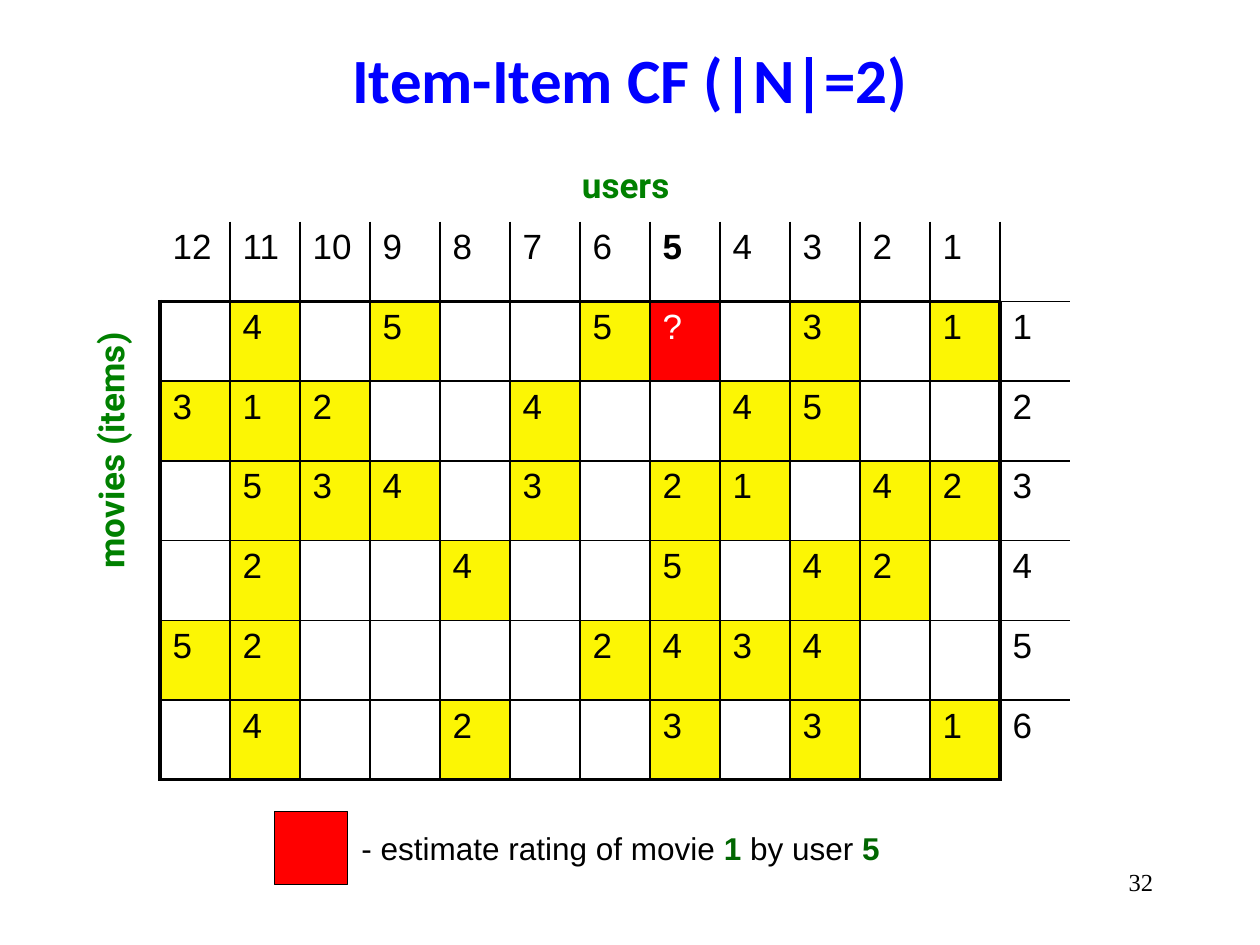
import pptx
import pptx.dml.color
import pptx.enum.shapes
import pptx.enum.text
import pptx.oxml
import pptx.oxml.ns
import pptx.util
from pptx.util import Inches

COLORS = {
    "black": "000000",
    "white": "FFFFFF",
    "title": "0000FF",
    "axis": "008000",
    "emphasis": "006600",
    "rated": "FCF604",
    "target": "FF0000",
}
ALIGN = pptx.enum.text.PP_ALIGN


def rgb(name):
    return pptx.dml.color.RGBColor.from_string(COLORS[name])


def add_run(paragraph, text, size, font, color="black", bold=False):
    run = paragraph.add_run()
    run.text = text
    run.font.size = pptx.util.Pt(size)
    run.font.name = font
    run.font.bold = bold
    run.font.color.rgb = rgb(color)


presentation = pptx.Presentation()
presentation.slide_width = Inches(10)
presentation.slide_height = Inches(7.5)
slide = presentation.slides.add_slide(presentation.slide_layouts[6])

# Ratings: one row per movie, users 12 down to 1
ratings = [
    ".4.5..5?.3.1",
    "312..4..45..",
    ".534.3.21.42",
    ".2..4..5.42.",
    "52....2434..",
    ".4..2..3.3.1",
]
user_count, movie_count = 12, len(ratings)
grid = [[str(user) for user in range(user_count, 0, -1)] + [""]]
for movie, row in enumerate(ratings, start=1):
    grid.append([mark.replace(".", "") for mark in row] + [str(movie)])

# Table with equal rows and columns
row_count, column_count = movie_count + 1, user_count + 1
column_width, row_height = 5 / 9, 0.633
table = slide.shapes.add_table(
    row_count, column_count, Inches(1.27), Inches(1.76),
    Inches(column_width * column_count), Inches(row_height * row_count),
).table
table.first_row = False
table.horz_banding = False
for column in table.columns:
    column.width = Inches(column_width)
for row in table.rows:
    row.height = Inches(row_height)

thin, thick = 1, 2.25
for r, texts in enumerate(grid):
    for c, text in enumerate(texts):
        cell = table.cell(r, c)
        in_ratings = r > 0 and c < user_count

        # Thick frame around the ratings, none on the outside of the labels
        widths = {"L": thin, "R": thin, "T": thin, "B": thin}
        if c == 0:
            widths["L"] = thick if r else 0
        if c == user_count:
            widths["L"] = thick if r else thin
            widths["R"] = 0
        if c == user_count - 1 and r:
            widths["R"] = thick
        if r == 0:
            widths["T"] = 0
        if r == 1 and c < user_count:
            widths["T"] = thick
        if r == 0 and c < user_count:
            widths["B"] = thick
        if r == movie_count:
            widths["B"] = thick if c < user_count else 0
        properties = cell._tc.get_or_add_tcPr()
        for side, width in widths.items():
            paint = (f'<a:solidFill><a:srgbClr val="{COLORS["black"]}"/></a:solidFill>'
                     if width else "<a:noFill/>")
            properties.append(pptx.oxml.parse_xml(
                f'<a:ln{side} {pptx.oxml.ns.nsdecls("a")} '
                f'w="{pptx.util.Pt(width)}">{paint}</a:ln{side}>'))

        # Fill and text
        if in_ratings and text:
            cell.fill.solid()
            cell.fill.fore_color.rgb = rgb("target" if text == "?" else "rated")
        else:
            cell.fill.background()
        if text:
            add_run(cell.text_frame.paragraphs[0], text, 20, "Arial",
                    color="white" if text == "?" else "black",
                    bold=r == 0 and text == "5")

# Legend square
square = slide.shapes.add_shape(
    pptx.enum.shapes.MSO_SHAPE.RECTANGLE,
    Inches(2.18), Inches(6.44), Inches(0.58), Inches(0.58))
square.shadow.inherit = False
square.fill.solid()
square.fill.fore_color.rgb = rgb("target")
square.line.color.rgb = rgb("black")
square.line.width = pptx.util.Pt(0.75)

# Text boxes: place, rotation, alignment, size, font, runs of (text, color, bold)
text_boxes = [
    ((0.5, 0, 9, 1.25), 0, ALIGN.CENTER, 36, "Calibri",
     [("Item-Item CF (|N|=2)", "title", True)]),
    ((4.52, 1.25, 1.19, 0.44), 0, ALIGN.LEFT, 20, "Roboto",
     [("users", "axis", True)]),
    ((-0.34, 3.17, 2.44, 0.44), 270, ALIGN.LEFT, 20, "Roboto",
     [("movies (items)", "axis", True)]),
    ((2.77, 6.53, 4.42, 0.4), 0, ALIGN.LEFT, 18, "Arial",
     [("- estimate rating of movie ", "black", False), ("1", "emphasis", True),
      (" by user ", "black", False), ("5", "emphasis", True)]),
    ((7.17, 6.83, 2.08, 0.5), 0, ALIGN.RIGHT, 14, "Times New Roman",
     [("32", "black", False)]),
]
for place, rotation, alignment, size, font, runs in text_boxes:
    shape = slide.shapes.add_textbox(*[Inches(length) for length in place])
    shape.rotation = rotation
    shape.text_frame.word_wrap = True
    if font == "Calibri":
        shape.text_frame.vertical_anchor = pptx.enum.text.MSO_ANCHOR.MIDDLE
    paragraph = shape.text_frame.paragraphs[0]
    paragraph.alignment = alignment
    for text, color, bold in runs:
        add_run(paragraph, text, size, font, color, bold)

presentation.save("out.pptx")
